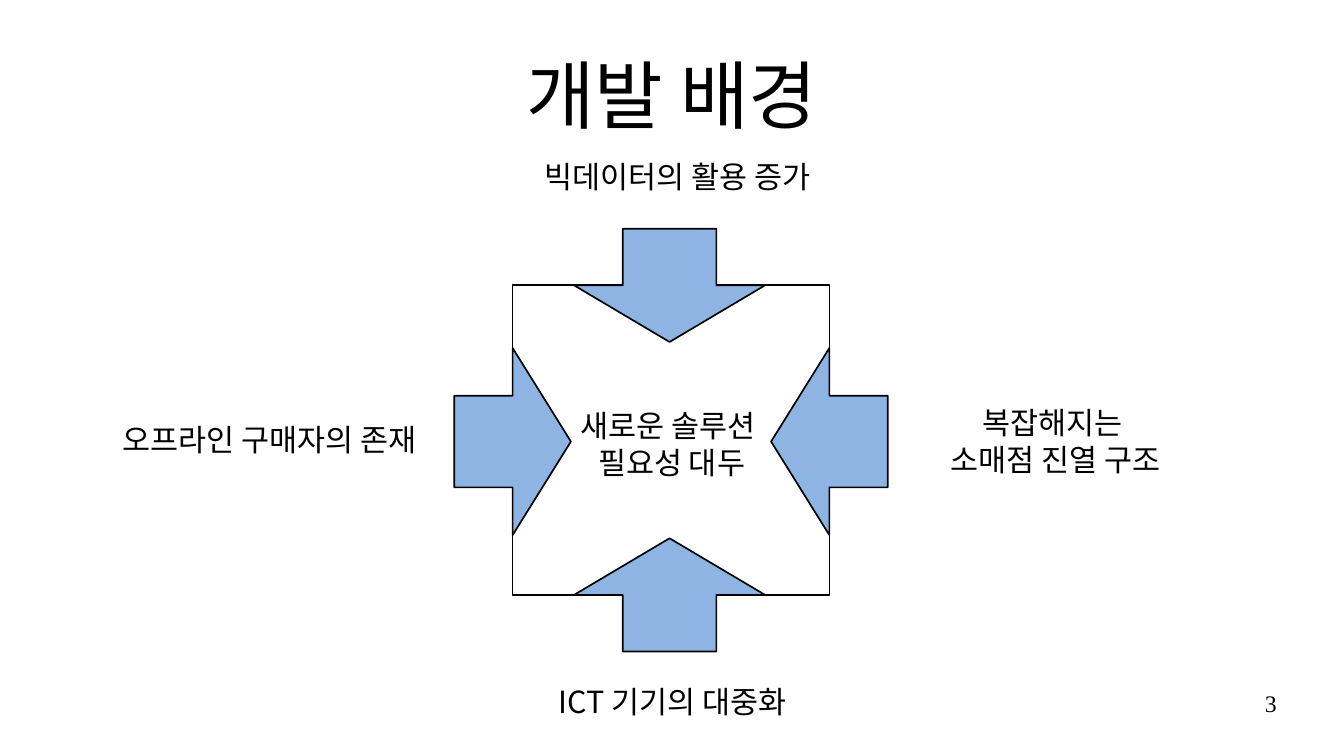
from dataclasses import dataclass

from lxml import etree
from pptx import Presentation
from pptx.dml.color import RGBColor
from pptx.enum.shapes import MSO_SHAPE
from pptx.enum.text import MSO_ANCHOR, PP_ALIGN
from pptx.oxml.ns import qn
from pptx.util import Cm, Pt

RECTANGLE = MSO_SHAPE.RECTANGLE
RIGHT, LEFT = MSO_SHAPE.RIGHT_ARROW, MSO_SHAPE.LEFT_ARROW
DOWN, UP = MSO_SHAPE.DOWN_ARROW, MSO_SHAPE.UP_ARROW
TOP, MIDDLE, BOTTOM = MSO_ANCHOR.TOP, MSO_ANCHOR.MIDDLE, MSO_ANCHOR.BOTTOM
ALIGN_CENTER, ALIGN_RIGHT = PP_ALIGN.CENTER, PP_ALIGN.RIGHT


@dataclass(frozen=True)
class Theme:
    """Colours, fonts and sizes of the slide."""
    ink: RGBColor = RGBColor(0x00, 0x00, 0x00)
    paper: RGBColor = RGBColor(0xFF, 0xFF, 0xFF)
    arrow: RGBColor = RGBColor(0x8E, 0xB4, 0xE3)
    font: str = "Noto Sans CJK KR"
    number_font: str = "Times New Roman"
    title_size: int = 44
    body_size: int = 18
    number_size: int = 14
    outline: float = 1


THEME = Theme()

# Lengths in centimetres
CENTER_X, CENTER_Y = 13.98, 9.2
SQUARE_WIDTH, SQUARE_HEIGHT = 6.6, 6.45
ARROW_LENGTH_X, ARROW_SPAN_X = 2.43, 3.9
ARROW_LENGTH_Y, ARROW_SPAN_Y = 2.36, 3.98


def add_label(slide, text, box, size=THEME.body_size, anchor=MIDDLE,
              align=ALIGN_CENTER, font=THEME.font):
    """Add text without margins in box (left, top, width, height)."""
    frame = slide.shapes.add_textbox(*map(Cm, box)).text_frame
    frame.word_wrap = True
    frame.margin_left = frame.margin_right = 0
    frame.margin_top = frame.margin_bottom = 0
    frame.vertical_anchor = anchor
    frame.text = text
    for paragraph in frame.paragraphs:
        paragraph.alignment = align
        for run in paragraph.runs:
            run.font.size = Pt(size)
            run.font.name = font
            run.font.color.rgb = THEME.ink
            east_asian = etree.SubElement(run.font._element, qn("a:ea"))
            east_asian.set("typeface", font)


def add_outlined(slide, kind, center, size, fill):
    """Add an outlined preset shape around a centre point."""
    (x, y), (width, height) = center, size
    shape = slide.shapes.add_shape(kind, Cm(x - width / 2), Cm(y - height / 2),
                                   Cm(width), Cm(height))
    shape.shadow.inherit = False
    shape.fill.solid()
    shape.fill.fore_color.rgb = fill
    shape.line.color.rgb = THEME.ink
    shape.line.width = Pt(THEME.outline)
    return shape


def add_inward_arrow(slide, kind, center, size):
    """Add an arrow whose head is half its length."""
    arrow = add_outlined(slide, kind, center, size, THEME.arrow)
    arrow.adjustments[0] = 0.49
    arrow.adjustments[1] = 0.5


def add_convergence(slide):
    """Add the square and the four arrows centred on its sides."""
    add_outlined(slide, RECTANGLE, (CENTER_X, CENTER_Y - 0.03),
                 (SQUARE_WIDTH, SQUARE_HEIGHT), THEME.paper)
    for kind, side in ((RIGHT, -1), (LEFT, 1)):
        add_inward_arrow(slide, kind, (CENTER_X + side * SQUARE_WIDTH / 2, CENTER_Y),
                         (ARROW_LENGTH_X, ARROW_SPAN_X))
    for kind, side in ((DOWN, -1), (UP, 1)):
        add_inward_arrow(slide, kind,
                         (CENTER_X - 0.03, CENTER_Y - 0.03 + side * SQUARE_HEIGHT / 2),
                         (ARROW_SPAN_Y, ARROW_LENGTH_Y))


def main():
    """Build the slide and save it."""
    deck = Presentation()
    deck.slide_width, deck.slide_height = Cm(28), Cm(15.75)
    slide = deck.slides.add_slide(deck.slide_layouts[6])

    add_label(slide, "개발 배경", (1.4, 0.64, 25.2, 2.64), THEME.title_size)
    add_convergence(slide)
    add_label(slide, "빅데이터의 활용 증가", (10.67, 3.25, 6.88, 0.81), anchor=BOTTOM)
    add_label(slide, "오프라인 구매자의 존재", (2.18, 8.84, 6.88, 0.64))
    add_label(slide, "새로운 솔루션\v 필요성 대두", (11.33, 8.84, 5.18, 0.81))
    add_label(slide, "복잡해지는 \v소매점 진열 구조", (18.82, 8.23, 6.35, 1.9))
    add_label(slide, "ICT 기기의 대중화", (11, 14.27, 6.02, 0.69))
    add_label(slide, "3", (20.07, 14.35, 6.53, 1.09), THEME.number_size,
              TOP, ALIGN_RIGHT, THEME.number_font)

    deck.save("out.pptx")


main()
